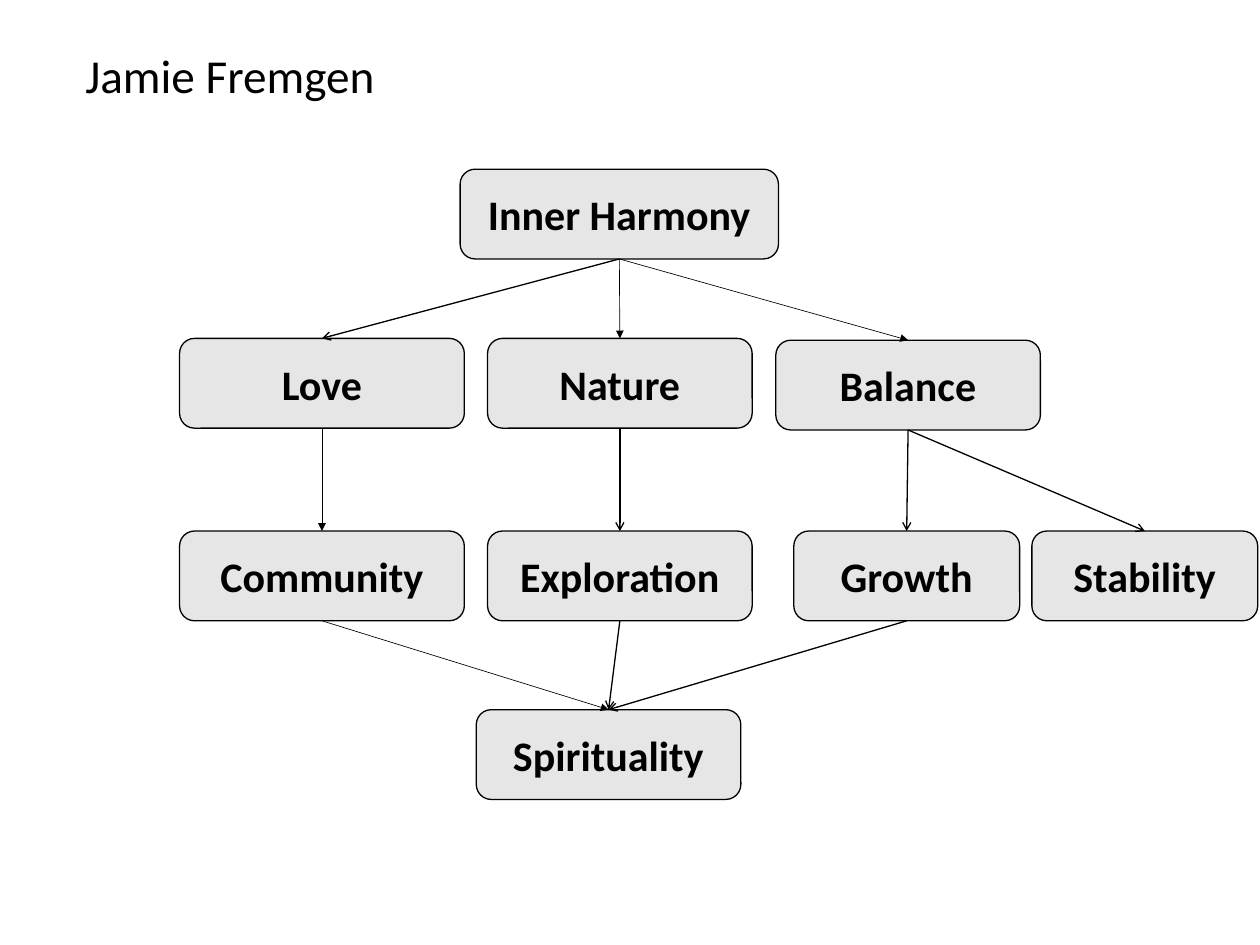
"""Build a values diagram that leads from inner harmony to spirituality."""
from lxml.etree import SubElement
from pptx import Presentation
from pptx.dml.color import RGBColor
from pptx.enum.shapes import MSO_CONNECTOR, MSO_SHAPE
from pptx.enum.text import MSO_ANCHOR, MSO_AUTO_SIZE, PP_ALIGN
from pptx.oxml.ns import qn
from pptx.util import Pt

COLORS = {"box": "E7E6E6", "ink": "000000", "page": "FFFFFF"}
BOX_HEIGHT = 68.4
BOTTOM, TOP = 2, 0

VALUES = {
    "Inner Harmony": (350.6, 128.9, 242.6),
    "Love": (136.8, 257.8, 217),
    "Nature": (371.5, 257.8, 201.6),
    "Balance": (591.1, 259.2, 201.6),
    "Community": (136.8, 404.6, 217),
    "Exploration": (371.5, 404.6, 201.6),
    "Growth": (604.8, 404.6, 172.1),
    "Stability": (786.2, 404.6, 172.1),
    "Spirituality": (362.9, 540.7, 201.6),
}
THIN, BOLD = (0.5, "triangle"), (1, "arrow")
LINKS = [
    ("Inner Harmony", "Love", BOLD),
    ("Inner Harmony", "Nature", THIN),
    ("Inner Harmony", "Balance", THIN),
    ("Love", "Community", THIN),
    ("Nature", "Exploration", BOLD),
    ("Balance", "Growth", BOLD),
    ("Balance", "Stability", BOLD),
    ("Community", "Spirituality", THIN),
    ("Exploration", "Spirituality", BOLD),
    ("Growth", "Spirituality", BOLD),
]


class Diagram:
    def __init__(self, slide, font="Calibri"):
        self.slide = slide
        self.font = font
        slide.background.fill.solid()
        slide.background.fill.fore_color.rgb = self.color("page")

    def color(self, name):
        return RGBColor.from_string(COLORS[name])

    def label(self, shape, text, size, bold=False):
        frame = shape.text_frame
        frame.text = text
        frame.word_wrap = True
        frame.auto_size = MSO_AUTO_SIZE.NONE
        frame.vertical_anchor = MSO_ANCHOR.MIDDLE
        paragraph = frame.paragraphs[0]
        paragraph.alignment = PP_ALIGN.CENTER
        font = paragraph.runs[0].font
        font.name, font.size, font.bold = self.font, Pt(size), bold
        font.color.rgb = self.color("ink")

    def title(self, text, left, top, width, height):
        heading = self.slide.shapes.title
        heading.left, heading.top = Pt(left), Pt(top)
        heading.width, heading.height = Pt(width), Pt(height)
        self.label(heading, text, 36)

    def box(self, text, left, top, width):
        box = self.slide.shapes.add_shape(
            MSO_SHAPE.ROUNDED_RECTANGLE, Pt(left), Pt(top), Pt(width), Pt(BOX_HEIGHT))
        box.shadow.inherit = False
        box.fill.solid()
        box.fill.fore_color.rgb = self.color("box")
        box.line.color.rgb = self.color("ink")
        box.line.width = Pt(1)
        self.label(box, text, 32, bold=True)
        return box

    def arrow(self, source, target, weight, head):
        arrow = self.slide.shapes.add_connector(MSO_CONNECTOR.STRAIGHT, 0, 0, 0, 0)
        arrow.begin_connect(source, BOTTOM)
        arrow.end_connect(target, TOP)
        arrow.line.color.rgb = self.color("ink")
        arrow.line.width = Pt(weight)
        properties = arrow.element.spPr
        SubElement(properties.find(qn("a:ln")), qn("a:tailEnd"), type=head)
        SubElement(properties, qn("a:effectLst"))


def main():
    deck = Presentation()
    deck.slide_width, deck.slide_height = Pt(960), Pt(720)
    diagram = Diagram(deck.slides.add_slide(deck.slide_layouts[5]))
    diagram.title("Jamie Fremgen", 0, 31, 350.6, 51.1)
    boxes = {value: diagram.box(value, *place) for value, place in VALUES.items()}
    for source, target, style in LINKS:
        diagram.arrow(boxes[source], boxes[target], *style)
    deck.save("out.pptx")


if __name__ == "__main__":
    main()
